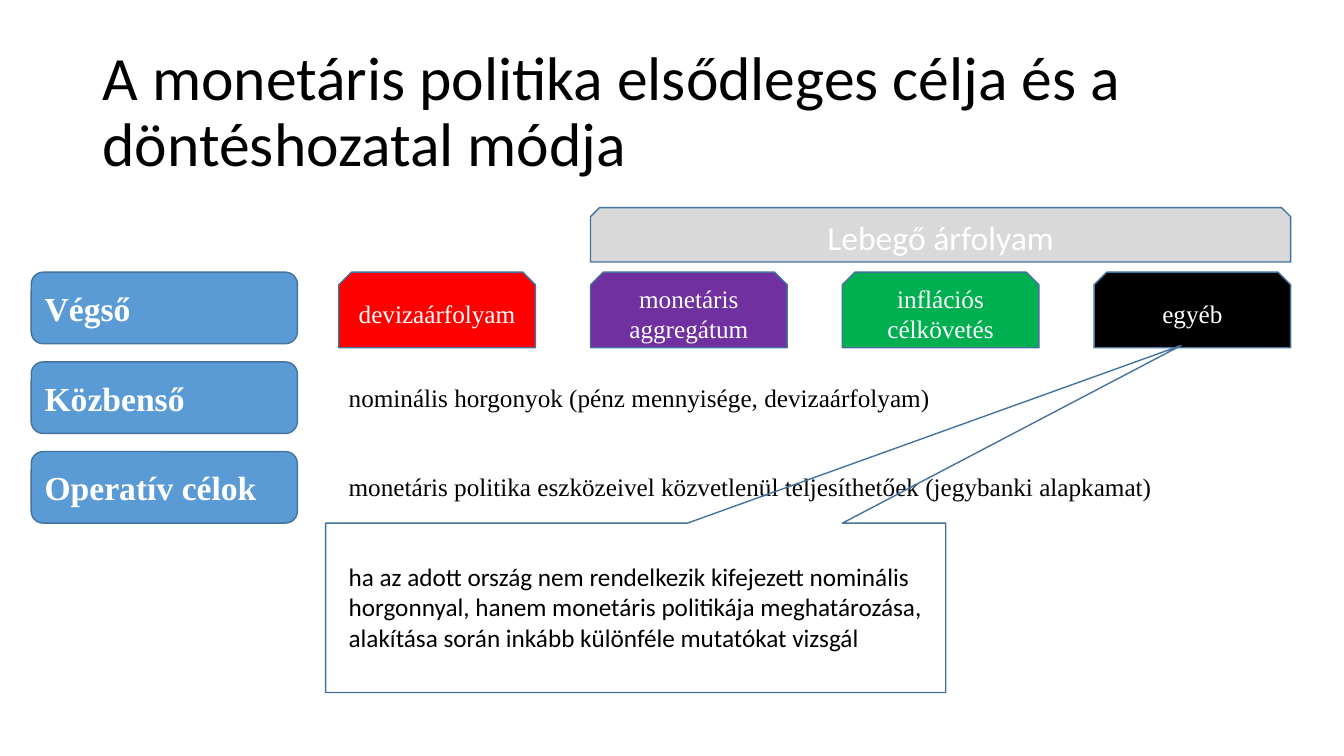
"""Build the slide on the goals of monetary policy."""
from dataclasses import dataclass

from pptx import Presentation
from pptx.dml.color import RGBColor
from pptx.enum.shapes import MSO_SHAPE
from pptx.enum.text import MSO_ANCHOR, MSO_AUTO_SIZE, PP_ALIGN
from pptx.shapes.autoshape import Shape
from pptx.slide import Slide
from pptx.util import Inches, Pt

BLACK = RGBColor(0x00, 0x00, 0x00)
WHITE = RGBColor(0xFF, 0xFF, 0xFF)
BLUE = RGBColor(0x5B, 0x9B, 0xD5)
EDGE = RGBColor(0x43, 0x73, 0x9E)
RED = RGBColor(0xFF, 0x00, 0x00)
PURPLE = RGBColor(0x70, 0x30, 0xA0)
GREEN = RGBColor(0x00, 0xB0, 0x50)
GREY = RGBColor(0xD9, 0xD9, 0xD9)
SANS = "Calibri"
SERIF = "Times New Roman"

ROW_TOP, ROW_STEP = 2.7, 0.89
COL_LEFT, COL_STEP, COL_WIDTH = 3.36, 2.497, 1.95


@dataclass
class Box:
    left: float
    top: float
    width: float
    height: float


@dataclass
class Label:
    text: str
    size: int
    font: str = SERIF
    color: RGBColor = BLACK
    bold: bool = False
    align: PP_ALIGN = PP_ALIGN.LEFT


def inches(box: Box) -> list[Inches]:
    """Return the box as four lengths."""
    return [Inches(n) for n in (box.left, box.top, box.width, box.height)]


def write(shape: Shape, label: Label, anchor: MSO_ANCHOR) -> None:
    """Put a formatted label into a shape."""
    frame = shape.text_frame
    frame.word_wrap = True
    frame.vertical_anchor = anchor
    frame.text = label.text
    line = frame.paragraphs[0]
    line.alignment = label.align
    font = line.runs[0].font
    font.name, font.size, font.bold = label.font, Pt(label.size), label.bold
    font.color.rgb = label.color


def add_text(slide: Slide, box: Box, label: Label,
             anchor: MSO_ANCHOR = MSO_ANCHOR.TOP) -> Shape:
    """Add a plain text box."""
    shape = slide.shapes.add_textbox(*inches(box))
    write(shape, label, anchor)
    return shape


def add_form(slide: Slide, kind: MSO_SHAPE, box: Box,
             fill: RGBColor | None = None) -> Shape:
    """Add an outlined shape, filled when a colour is given."""
    shape = slide.shapes.add_shape(kind, *inches(box))
    shape.shadow.inherit = False
    if fill is None:
        shape.fill.background()
    else:
        shape.fill.solid()
        shape.fill.fore_color.rgb = fill
    shape.line.color.rgb = EDGE
    shape.line.width = Pt(1)
    return shape


def add_card(slide: Slide, kind: MSO_SHAPE, box: Box, fill: RGBColor,
             label: Label) -> None:
    """Add a filled shape with a label in its middle."""
    write(add_form(slide, kind, box, fill), label, MSO_ANCHOR.MIDDLE)


def main() -> None:
    """Draw the slide and save it."""
    deck = Presentation()
    deck.slide_width, deck.slide_height = Inches(13.33), Inches(7.5)
    slide = deck.slides.add_slide(deck.slide_layouts[6])

    title = add_text(
        slide, Box(0.92, 0.4, 11.5, 1.45),
        Label("A monetáris politika elsődleges célja és a döntéshozatal módja",
              44, SANS), MSO_ANCHOR.MIDDLE)
    title.text_frame.paragraphs[0].line_spacing = 0.9

    facts = [
        ("nominális horgonyok (pénz mennyisége, devizaárfolyam)", 6.02),
        ("monetáris politika eszközeivel közvetlenül teljesíthetőek "
         "(jegybanki alapkamat)", 8.25),
    ]
    for row, (text, width) in enumerate(facts, 1):
        top = ROW_TOP + row * ROW_STEP + 0.15
        fact = add_text(slide, Box(COL_LEFT, top, width, 0.4), Label(text, 18))
        fact.text_frame.word_wrap = False
        fact.text_frame.auto_size = MSO_AUTO_SIZE.SHAPE_TO_FIT_TEXT

    for row, text in enumerate(["Végső", "Közbenső", "Operatív célok"]):
        add_card(slide, MSO_SHAPE.ROUNDED_RECTANGLE,
                 Box(0.31, ROW_TOP + row * ROW_STEP, 2.64, 0.71), BLUE,
                 Label(text, 24, color=WHITE, bold=True))

    snip = MSO_SHAPE.SNIP_2_SAME_RECTANGLE
    goals = [
        ("devizaárfolyam", RED),
        ("monetáris aggregátum", PURPLE),
        ("inflációs célkövetés", GREEN),
        ("egyéb", BLACK),
    ]
    for col, (text, fill) in enumerate(goals):
        add_card(slide, snip,
                 Box(COL_LEFT + col * COL_STEP, ROW_TOP, COL_WIDTH, 0.75), fill,
                 Label(text, 18, color=WHITE, align=PP_ALIGN.CENTER))
    add_card(slide, snip,
             Box(COL_LEFT + COL_STEP, 2.06, 2 * COL_STEP + COL_WIDTH, 0.54),
             GREY, Label("Lebegő árfolyam", 24, SANS, WHITE,
                         align=PP_ALIGN.CENTER))

    callout = add_form(slide, MSO_SHAPE.RECTANGULAR_CALLOUT,
                       Box(3.23, 5.19, 6.15, 1.68))
    callout.adjustments[0], callout.adjustments[1] = 0.88, -1.55
    add_text(slide, Box(COL_LEFT, 5.52, 6.67, 1.01), Label(
        "ha az adott ország nem rendelkezik kifejezett nominális horgonnyal, "
        "hanem monetáris politikája meghatározása, alakítása során inkább "
        "különféle mutatókat vizsgál", 18, SANS))

    deck.save("out.pptx")


if __name__ == "__main__":
    main()
